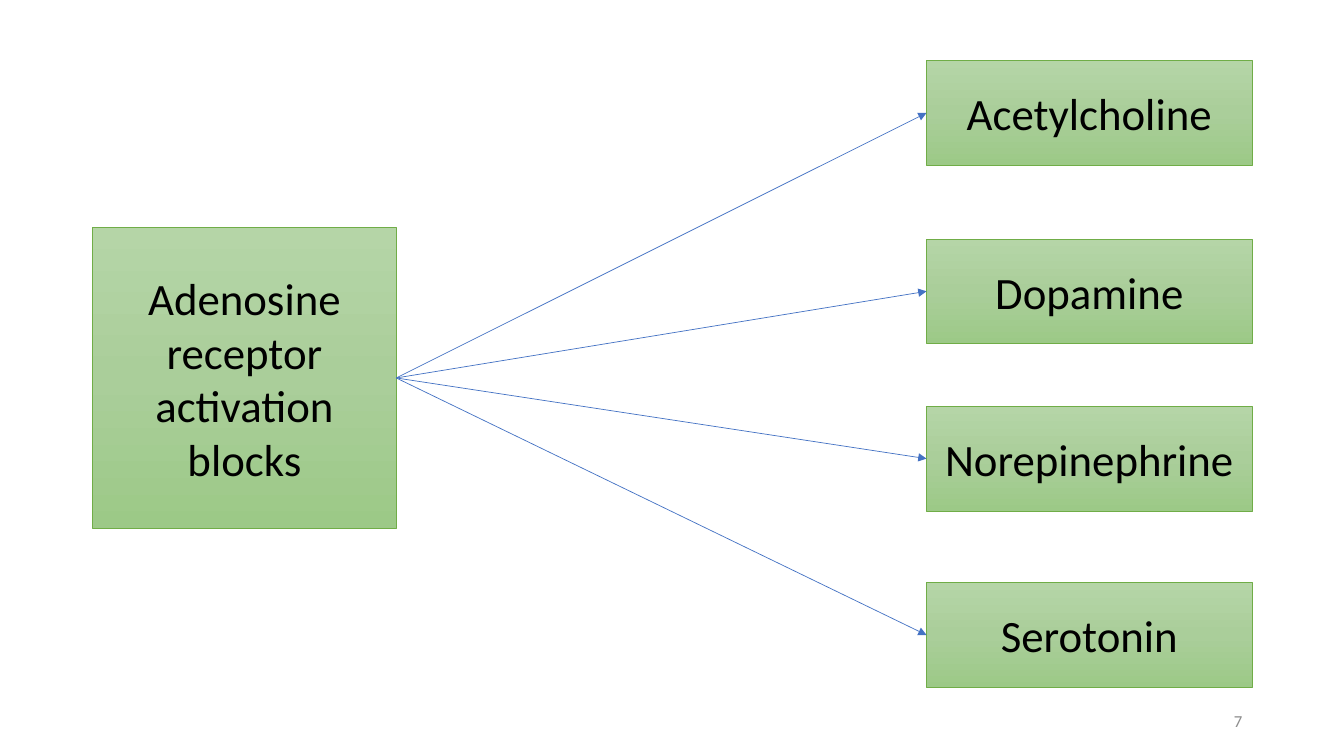
import copy
from dataclasses import dataclass

import pptx
import pptx.dml.color
import pptx.enum.shapes
import pptx.enum.text
import pptx.oxml
import pptx.oxml.ns
import pptx.shapes.autoshape
import pptx.slide
import pptx.text.text
import pptx.util
from pptx.util import Inches

FONT = "Calibri"
LINE_WIDTH = pptx.util.Pt(0.5)
RIGHT_SIDE, LEFT_SIDE = 3, 1
COLOURS = {
    "gradient top": "B5D5A7",
    "gradient middle": "AACE9A",
    "gradient bottom": "9CC987",
    "box line": "70AD47",
    "arrow": "4472C4",
    "text": "000000",
    "slide number": "8C8C8C",
}


@dataclass(frozen=True)
class Box:
    text: str
    left: float
    top: float
    width: float
    height: float


CAUSE = Box("Adenosine receptor activation blocks", 0.92, 2.26, 3.01, 2.98)
TRANSMITTERS = [
    Box(name, 9.19, top, 3.23, 1.04)
    for name, top in (
        ("Acetylcholine", 0.6),
        ("Dopamine", 2.37),
        ("Norepinephrine", 4.03),
        ("Serotonin", 5.78),
    )
]
SLIDE_NUMBER = Box("7", 9.42, 6.95, 3, 0.4)


def colour(name: str) -> pptx.dml.color.RGBColor:
    return pptx.dml.color.RGBColor.from_string(COLOURS[name])


def place(box: Box) -> tuple[int, int, int, int]:
    return Inches(box.left), Inches(box.top), Inches(box.width), Inches(box.height)


def write_text(
    frame: pptx.text.text.TextFrame,
    text: str,
    size: float,
    colour_name: str,
    alignment: pptx.enum.text.PP_ALIGN,
) -> None:
    frame.word_wrap = True
    frame.vertical_anchor = pptx.enum.text.MSO_ANCHOR.MIDDLE
    paragraph = frame.paragraphs[0]
    paragraph.alignment = alignment
    run = paragraph.add_run()
    run.text = text
    run.font.name = FONT
    run.font.size = pptx.util.Pt(size)
    run.font.color.rgb = colour(colour_name)


def fill_with_gradient(shape: pptx.shapes.autoshape.Shape) -> None:
    """Fill from top to bottom through three evenly spaced greens."""
    shape.fill.gradient()
    shape.fill.gradient_angle = 270
    stop_list = shape.element.spPr.find(".//" + pptx.oxml.ns.qn("a:gsLst"))
    middle_stop = copy.deepcopy(stop_list[0])
    middle_stop.set("pos", "50000")
    stop_list.insert(1, middle_stop)
    for stop, position in zip(shape.fill.gradient_stops, ("top", "middle", "bottom")):
        stop.color.rgb = colour(f"gradient {position}")


def add_box(slide: pptx.slide.Slide, box: Box) -> pptx.shapes.autoshape.Shape:
    shape = slide.shapes.add_shape(
        pptx.enum.shapes.MSO_SHAPE.RECTANGLE, *place(box)
    )
    shape.shadow.inherit = False
    fill_with_gradient(shape)
    shape.line.color.rgb = colour("box line")
    shape.line.width = LINE_WIDTH
    write_text(
        shape.text_frame, box.text, 32, "text", pptx.enum.text.PP_ALIGN.CENTER
    )
    return shape


def add_arrow(
    slide: pptx.slide.Slide,
    source: pptx.shapes.autoshape.Shape,
    target: pptx.shapes.autoshape.Shape,
) -> None:
    connector = slide.shapes.add_connector(
        pptx.enum.shapes.MSO_CONNECTOR.STRAIGHT, 0, 0, 0, 0
    )
    connector.begin_connect(source, RIGHT_SIDE)
    connector.end_connect(target, LEFT_SIDE)
    connector.line.color.rgb = colour("arrow")
    connector.line.width = LINE_WIDTH
    properties = connector.element.spPr
    line = properties.find(pptx.oxml.ns.qn("a:ln"))
    line.append(
        pptx.oxml.parse_xml(
            f'<a:tailEnd {pptx.oxml.ns.nsdecls("a")} type="triangle"/>'
        )
    )
    properties.append(
        pptx.oxml.parse_xml(f'<a:effectLst {pptx.oxml.ns.nsdecls("a")}/>')
    )


def add_slide_number(slide: pptx.slide.Slide) -> None:
    text_box = slide.shapes.add_textbox(*place(SLIDE_NUMBER))
    write_text(
        text_box.text_frame,
        SLIDE_NUMBER.text,
        12,
        "slide number",
        pptx.enum.text.PP_ALIGN.RIGHT,
    )


def main() -> None:
    presentation = pptx.Presentation()
    presentation.slide_width = Inches(13.33)
    presentation.slide_height = Inches(7.5)
    blank_layout = presentation.slide_layouts.get_by_name("Blank")
    slide = presentation.slides.add_slide(blank_layout)

    cause_shape = add_box(slide, CAUSE)
    transmitter_shapes = [add_box(slide, box) for box in TRANSMITTERS]
    for transmitter_shape in transmitter_shapes:
        add_arrow(slide, cause_shape, transmitter_shape)
    add_slide_number(slide)

    presentation.save("out.pptx")


if __name__ == "__main__":
    main()
